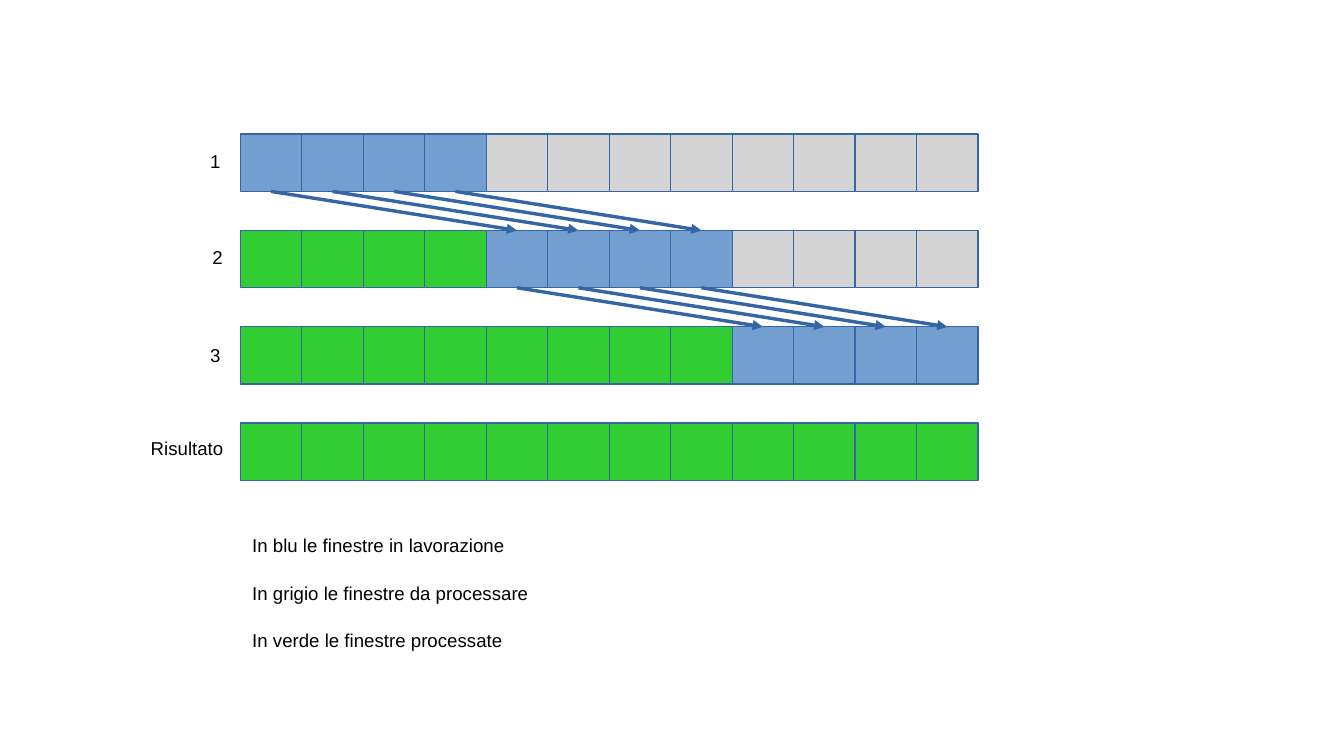
from lxml.etree import SubElement
from pptx import Presentation
from pptx.dml.color import RGBColor
from pptx.enum.shapes import MSO_CONNECTOR, MSO_SHAPE
from pptx.enum.text import MSO_ANCHOR, PP_ALIGN
from pptx.oxml.ns import qn
from pptx.util import Inches, Pt

THEME = {
    "working": RGBColor.from_string("729FCF"),
    "waiting": RGBColor.from_string("D3D3D3"),
    "done": RGBColor.from_string("32CD32"),
    "line": RGBColor.from_string("3465A4"),
    "text": RGBColor.from_string("000000"),
    "font": "Arial",
    "size": Pt(11),
    "hairline": Pt(0),
}

deck = Presentation()
deck.slide_width, deck.slide_height = Inches(11.02), Inches(6.2)
page = deck.slides.add_slide(deck.slide_layouts[6])

# Grid of windows: four rows of twelve, processed in batches of four
COLUMNS, ROWS, BATCH = 12, 4, 4
LEFT, TOP = Inches(1.97), Inches(1.1)
CELL_WIDTH, CELL_HEIGHT = Inches(6.05) / COLUMNS, Inches(0.47)
ROW_STEP = Inches(0.79)


def add_label(text, left, top, width, height, align):
    box = page.shapes.add_textbox(*(Inches(n) for n in (left, top, width, height)))
    frame = box.text_frame
    frame.word_wrap = True
    frame.vertical_anchor = MSO_ANCHOR.TOP
    para = frame.paragraphs[0]
    para.alignment = align
    span = para.add_run()
    span.text = text
    span.font.name = THEME["font"]
    span.font.size = THEME["size"]
    span.font.color.rgb = THEME["text"]


for row in range(ROWS):
    for column in range(COLUMNS):
        batch = column // BATCH
        state = "done" if batch < row else "working" if batch == row else "waiting"
        window = page.shapes.add_shape(
            MSO_SHAPE.RECTANGLE,
            round(LEFT + column * CELL_WIDTH), TOP + row * ROW_STEP,
            round(CELL_WIDTH), CELL_HEIGHT)
        window.shadow.inherit = False
        window.fill.solid()
        window.fill.fore_color.rgb = THEME[state]
        window.line.color.rgb = THEME["line"]
        window.line.width = THEME["hairline"]

# Each window in work hands over to the one a batch further on, a row below
for row in range(2):
    for column in range(row * BATCH, (row + 1) * BATCH):
        start = round(LEFT + (column + 0.5) * CELL_WIDTH)
        arrow = page.shapes.add_connector(
            MSO_CONNECTOR.STRAIGHT,
            start, TOP + row * ROW_STEP + CELL_HEIGHT,
            round(start + BATCH * CELL_WIDTH), TOP + (row + 1) * ROW_STEP)
        arrow.line.color.rgb = THEME["line"]
        arrow.line.width = THEME["hairline"]
        SubElement(arrow.line._get_or_add_ln(), qn("a:tailEnd"), type="triangle")
        SubElement(arrow._element.spPr, qn("a:effectLst"))

for text, left, top, width, height, align in (
    ("1", 1.57, 1.18, 0.39, 0.39, PP_ALIGN.CENTER),
    ("2", 1.61, 1.97, 0.35, 0.41, PP_ALIGN.CENTER),
    ("3", 1.57, 2.77, 0.39, 0.38, PP_ALIGN.CENTER),
    ("Risultato", 0.59, 3.53, 1.34, 0.27, PP_ALIGN.RIGHT),
):
    add_label(text, left, top, width, height, align)

legend = (
    "In blu le finestre in lavorazione",
    "In grigio le finestre da processare",
    "In verde le finestre processate",
)
for index, text in enumerate(legend):
    add_label(text, 1.97, 4.33 + index * 0.39, 6.3, 0.39, PP_ALIGN.LEFT)

deck.save("out.pptx")
